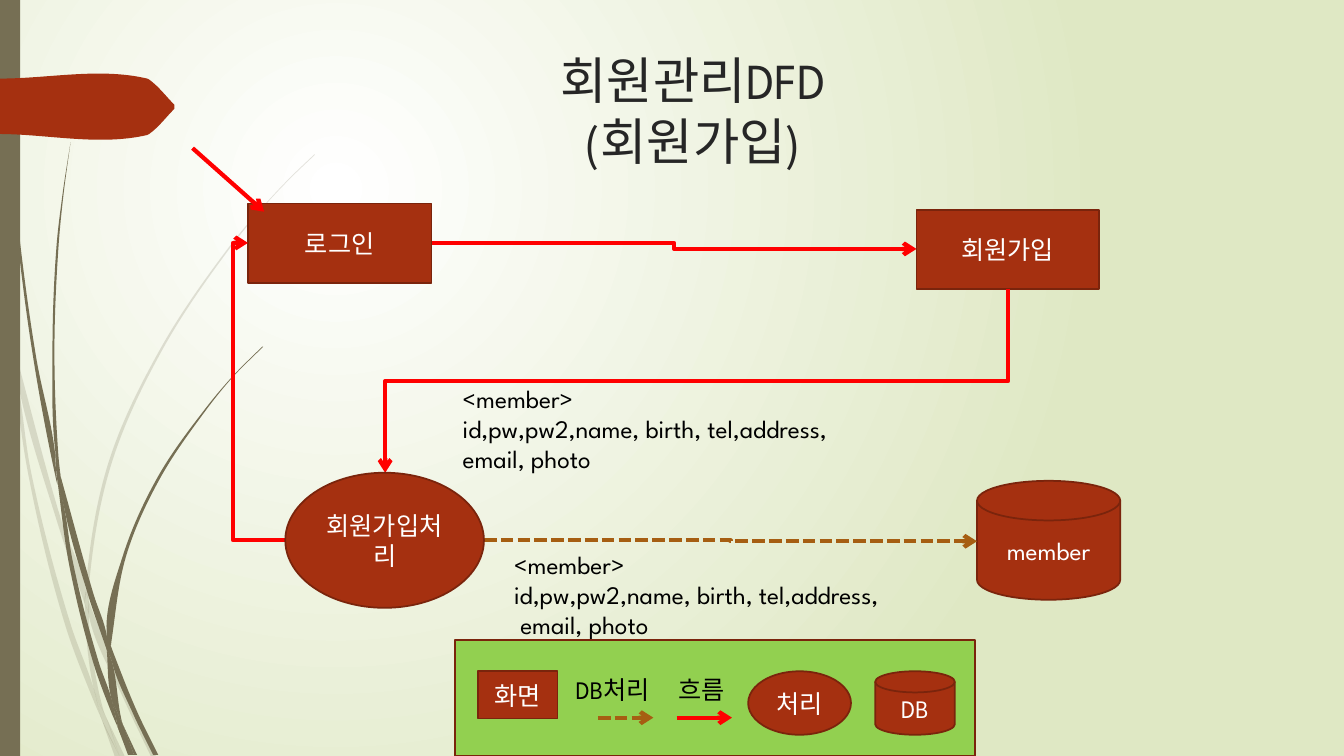
from math import hypot

from lxml import etree
from pptx import Presentation
from pptx.dml.color import RGBColor
from pptx.enum.dml import MSO_LINE
from pptx.enum.shapes import MSO_CONNECTOR, MSO_SHAPE
from pptx.enum.text import MSO_ANCHOR, PP_ALIGN
from pptx.oxml.ns import qn
from pptx.util import Inches, Pt

RECTANGLE = MSO_SHAPE.RECTANGLE
OVAL = MSO_SHAPE.OVAL
DISK = MSO_SHAPE.FLOWCHART_MAGNETIC_DISK
STRAIGHT = MSO_CONNECTOR.STRAIGHT
ELBOW = MSO_CONNECTOR.ELBOW
DASH = MSO_LINE.SQUARE_DOT
LEFT, CENTER = PP_ALIGN.LEFT, PP_ALIGN.CENTER
TOP, MIDDLE = MSO_ANCHOR.TOP, MSO_ANCHOR.MIDDLE

FONT = "League Spartan"
RUST, RUST_EDGE = "A53010", "7A240C"
OLIVE, LEGEND_GREEN = "766F54", "92D050"
FLOW_RED, DATABASE_BROWN = "FF0000", "A65E12"
UNITS = 1000  # outline units per inch

# Closed outlines of the grass blades, as x,y in inches.
PALE_BLADES = [
    "0.11,3.5 0.09,3.22 0,2.82 0,2.99 0.1,3.44",
    "0.58,5.22 0.84,5.99 0.85,5.86 0.62,5.2 0.14,3.45 0.17,3.76",
    "0.92,6.07 0.88,5.96 0.88,6.1 1.23,6.94 1.5,7.51 1.55,7.51 1.27,6.92",
    "1.19,7.51 1.24,7.51 1.05,7.11",
    "0.93,6.83 0.7,6.19 0.31,4.69 0.17,3.76 0.11,3.5 0.28,4.7 0.65,6.21 0.92,6.93 1.01,7.14 0.99,7.07",
    "0.84,5.99 0.87,6.46 0.93,6.83 0.96,6.92 1.05,7.11 1.03,7.06 0.91,6.46 0.88,6.1 0.88,6.08",
    "0.88,5.84 1.1,4.62 1.6,3.49 2.29,2.45 2.68,1.98 2.9,1.75 3.12,1.54 3.12,1.53 2.89,1.75 2.68,1.97 "
    "2.28,2.44 1.58,3.48 1.07,4.61 0.85,5.84 0.85,5.86 0.88,5.96",
    "1.01,7.14 1.14,7.51 1.19,7.51",
    "0.88,6.08 0.88,6.1 0.88,5.96 0.85,5.86 0.84,5.99",
    "0.96,6.92 0.93,6.83 0.99,7.07 1.01,7.14 1.19,7.51 1.05,7.11",
]
DARK_BLADES = [
    "0.07,1.1 0.17,2.33 0.33,3.55 0.56,4.77 0.57,4.81 0.55,4.57 0.55,4.53 0.36,3.55 0.19,2.32 0.08,1.09 "
    "0.05,0.48 0.04,0 0.03,0 0.04,0.48",
    "0.88,5.92 1.06,6.45 1.06,6.31 0.93,5.9 0.6,4.72 0.64,5.05",
    "1.13,6.49 1.1,6.41 1.11,6.56 1.32,7.08 1.52,7.49 1.57,7.49 1.36,7.06",
    "1.1,6.91 0.98,6.57 0.72,5.56 0.64,5.05 0.57,4.77 0.68,5.57 0.93,6.59 1.11,7.08 1.17,7.22 1.16,7.17",
    "0.6,4.72 0.58,4.53 0.54,3.49 0.58,2.45 0.63,1.93 0.7,1.41 0.62,1.93 0.56,2.45 0.52,3.49 0.55,4.49",
    "1.33,7.49 1.36,7.49 1.22,7.19",
    "0.57,4.77 0.64,5.05 0.6,4.72 0.55,4.49 0.55,4.53",
    "1.11,6.33 1.25,5.52 1.58,4.76 2.05,4.06 2.31,3.74 2.61,3.44 2.6,3.44 2.31,3.73 2.04,4.05 1.56,4.74 "
    "1.22,5.51 1.06,6.31 1.1,6.41",
    "1.17,7.22 1.27,7.49 1.31,7.49",
    "1.06,6.45 1.1,6.91 1.16,7.06 1.22,7.19 1.21,7.16 1.11,6.56 1.09,6.51",
    "1.06,6.45 1.09,6.51 1.11,6.56 1.1,6.41 1.06,6.31",
    "1.16,7.06 1.1,6.91 1.16,7.17 1.17,7.22 1.3,7.49 1.33,7.49 1.22,7.19",
]
BANNER = "1.73,1.08 1.48,1.33 1.46,1.34 0,1.33 0,0.78 1.46,0.78 1.48,0.79 1.73,1.04"


def color(value):
    return RGBColor.from_string(value)


def direction(start, end):
    x, y = end[0] - start[0], end[1] - start[1]
    length = hypot(x, y) or 1
    return x / length, y / length


def curve_controls(points):
    """Yield both Bezier controls of every side; sharp corners stay sharp."""
    count = len(points)
    for index, start in enumerate(points):
        before, end, after = (points[(index + offset) % count] for offset in (-1, 1, 2))
        chord = direction(start, end)
        reach = hypot(end[0] - start[0], end[1] - start[1]) / 3
        leaving, arriving = (
            direction((0, 0), (chord[0] + side[0], chord[1] + side[1]))
            if chord[0] * side[0] + chord[1] * side[1] > 0.8 else chord
            for side in (direction(before, start), direction(end, after)))
        yield ((start[0] + leaving[0] * reach, start[1] + leaving[1] * reach),
               (end[0] - arriving[0] * reach, end[1] - arriving[1] * reach))


def write_text(frame, text, size=18, text_color="000000", align=LEFT, anchor=TOP, wrap=True):
    frame.word_wrap = wrap
    frame.vertical_anchor = anchor
    for index, line in enumerate(text.split("\n")):
        paragraph = frame.paragraphs[0] if index == 0 else frame.add_paragraph()
        paragraph.alignment = align
        run = paragraph.add_run()
        run.text = line
        run.font.name, run.font.size = FONT, Pt(size)
        run.font.color.rgb = color(text_color)


class DiagramSlide:
    def __init__(self, presentation):
        self.slide = presentation.slides.add_slide(presentation.slide_layouts[6])
        self.shapes = self.slide.shapes

    def radial_background(self, inner, outer):
        fill = self.slide.background.fill
        fill.gradient()
        for stop, value, position in zip(fill.gradient_stops, (inner, outer), (0, 1)):
            stop.color.rgb = color(value)
            stop.position = position
        gradient = self.slide.element.find(".//" + qn("a:gradFill"))
        gradient.remove(gradient.find(qn("a:lin")))
        circle = etree.SubElement(gradient, qn("a:path"), path="circle")
        etree.SubElement(circle, qn("a:fillToRect"), l="50000", t="50000", r="100000", b="100000")

    def paint(self, shape, fill, edge=None):
        shape.shadow.inherit = False
        shape.fill.solid()
        shape.fill.fore_color.rgb = color(fill)
        if edge:
            shape.line.color.rgb = color(edge)
            shape.line.width = Pt(1.25)
        else:
            shape.line.fill.background()

    def outline(self, corners, fill, opacity=100):
        points = [tuple(round(float(value) * UNITS) for value in corner.split(","))
                  for corner in corners.split()]
        builder = self.shapes.build_freeform(*points[0], scale=Inches(1) / UNITS)
        builder.add_line_segments(points[1:] + points[:1], close=True)
        shape = builder.convert_to_shape()
        self.paint(shape, fill)
        left, top = (min(values) for values in zip(*points))
        sides = list(shape.element.iter(qn("a:lnTo")))
        for side, controls in zip(sides, curve_controls(points)):
            side.tag = qn("a:cubicBezTo")
            for index, (x, y) in enumerate(controls):
                point = etree.Element(qn("a:pt"), x=str(round(x - left)), y=str(round(y - top)))
                side.insert(index, point)
        if opacity < 100:
            fill_color = shape.element.spPr.find(qn("a:solidFill"))[0]
            etree.SubElement(fill_color, qn("a:alpha"), val=str(opacity * 1000))

    def node(self, kind, left, top, width, height, text="", fill=RUST, edge=RUST_EDGE):
        shape = self.shapes.add_shape(kind, *map(Inches, (left, top, width, height)))
        self.paint(shape, fill, edge)
        if text:
            write_text(shape.text_frame, text, text_color="FFFFFF", align=CENTER, anchor=MIDDLE)

    def label(self, left, top, width, height, text, **style):
        box = self.shapes.add_textbox(*map(Inches, (left, top, width, height)))
        write_text(box.text_frame, text, **style)

    def arrow(self, begin, end, kind=STRAIGHT, line_color=FLOW_RED, dash=None, bend=None, turn=0):
        connector = self.shapes.add_connector(kind, *map(Inches, (*begin, *end)))
        connector.line.color.rgb = color(line_color)
        connector.line.width = Pt(3)
        if dash:
            connector.line.dash_style = dash
        properties = connector.element.spPr
        etree.SubElement(properties.find(qn("a:ln")), qn("a:tailEnd"), type="arrow")
        etree.SubElement(properties, qn("a:effectLst"))
        if bend:
            guides = properties.find(qn("a:prstGeom")).find(qn("a:avLst"))
            etree.SubElement(guides, qn("a:gd"), name="adj1", fmla=f"val {round(bend * 100000)}")
        if turn:
            properties.find(qn("a:xfrm")).set("rot", str(turn * 60000))

    def arrow_down_left(self, begin, end):
        """Draw an elbow that leaves downwards: a sideways elbow turned by 90 degrees."""
        x, y = (begin[0] + end[0]) / 2, (begin[1] + end[1]) / 2
        across, down = (end[1] - begin[1]) / 2, (begin[0] - end[0]) / 2
        self.arrow((x - across, y - down), (x + across, y + down), ELBOW, turn=90)


def main():
    presentation = Presentation()
    presentation.slide_width, presentation.slide_height = Inches(13.33), Inches(7.5)
    diagram = DiagramSlide(presentation)
    diagram.radial_background("FFFFFF", "DFE8C4")
    for blades, opacity in ((PALE_BLADES, 20), (DARK_BLADES, 100)):
        for blade in blades:
            diagram.outline(blade, OLIVE, opacity)
    diagram.node(RECTANGLE, 0, 0, 0.2, 7.5, fill=OLIVE, edge=None)
    diagram.outline(BANNER, RUST)
    diagram.label(2, 0.44, 9.75, 1.4, "회원관리DFD\n(회원가입)", size=36, text_color="262626", align=CENTER)

    diagram.node(RECTANGLE, 2.46, 2.02, 1.82, 0.79, "로그인")
    diagram.arrow((1.91, 1.47), (2.62, 2.1))
    diagram.node(RECTANGLE, 9.09, 2.08, 1.81, 0.79, "회원가입")
    diagram.node(DISK, 9.69, 4.77, 1.42, 1.18, "member")
    diagram.arrow_down_left((10, 2.87), (3.82, 4.69))
    diagram.arrow((2.83, 5.36), (2.46, 2.41), ELBOW, bend=1.4)
    diagram.label(4.49, 3.75, 4.47, 0.99, "<member>\nid,pw,pw2,name, birth, tel,address, email, photo")
    diagram.arrow((4.8, 5.36), (9.69, 5.37), ELBOW, DATABASE_BROWN, DASH)
    diagram.label(5, 5.4, 4.42, 0.99, "<member>\nid,pw,pw2,name, birth, tel,address,\n email, photo", wrap=False)
    diagram.node(OVAL, 2.83, 4.69, 1.97, 1.34, "회원가입처리")
    diagram.arrow((4.28, 2.41), (9.09, 2.47), ELBOW)

    diagram.node(RECTANGLE, 4.51, 6.35, 5.16, 1.15, fill=LEGEND_GREEN)
    diagram.node(RECTANGLE, 4.74, 6.66, 0.79, 0.47, "화면")
    diagram.node(DISK, 8.68, 6.66, 0.79, 0.63, "DB")
    diagram.node(OVAL, 7.42, 6.66, 1.02, 0.63, "처리")
    diagram.label(6.63, 6.64, 0.71, 0.4, "흐름")
    diagram.arrow((6.71, 7.12), (7.26, 7.12))
    diagram.arrow((5.93, 7.12), (6.48, 7.12), line_color=DATABASE_BROWN, dash=DASH)
    diagram.label(5.61, 6.64, 1.02, 0.4, "DB처리", wrap=False)
    presentation.save("out.pptx")


if __name__ == "__main__":
    main()
